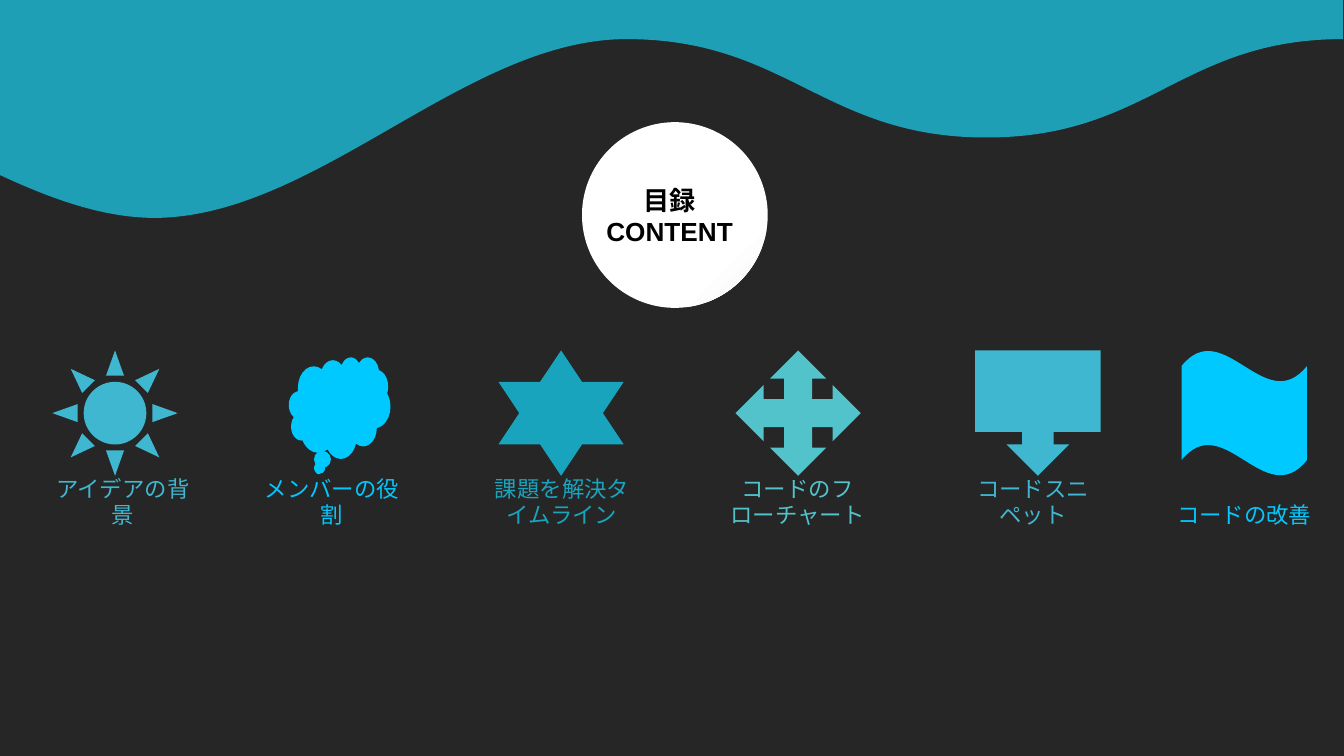
from dataclasses import dataclass

from lxml import etree
from pptx import Presentation
from pptx import util as u
from pptx.dml.color import RGBColor
from pptx.enum import lang, shapes, text
from pptx.oxml.ns import qn


@dataclass(frozen=True)
class Theme:
    background: str = "262626"
    wave: str = "1E9FB5"
    white: str = "FFFFFF"
    shade: str = "F2F2F2"
    black: str = "000000"
    blue: str = "40B7D0"
    bright: str = "00C9FF"
    bright_text: str = "04C7FE"
    teal: str = "19A4BE"
    aqua: str = "52C3CA"
    title_size: int = 14
    label_size: int = 12
    title_font: str = "Arial"
    label_font: str = "Noto Sans CJK SC"


theme = Theme()
color = RGBColor.from_string


def add_run(paragraph, words, font_name, size, rgb, bold=False):
    run = paragraph.add_run()
    run.text = words
    font = run.font
    font.name, font.size, font.bold = font_name, u.Pt(size), bold
    font.color.rgb = color(rgb)
    font.language_id = lang.MSO_LANGUAGE_ID.JAPANESE
    east_asian = etree.Element(qn("a:ea"), typeface=theme.label_font)
    run._r.rPr.find(qn("a:latin")).addnext(east_asian)


def prepare_frame(shape, anchor):
    """Set margins, wrapping and anchor, and return the centred first paragraph."""
    frame = shape.text_frame
    frame.word_wrap = True
    frame.auto_size = text.MSO_AUTO_SIZE.NONE
    frame.vertical_anchor = anchor
    frame.margin_left = frame.margin_right = u.Cm(0.18)
    frame.margin_top = frame.margin_bottom = u.Cm(0.1)
    paragraph = frame.paragraphs[0]
    paragraph.alignment = text.PP_ALIGN.CENTER
    return paragraph


presentation = Presentation()
presentation.slide_width = u.Cm(25.4)
presentation.slide_height = u.Cm(14.29)
slide = presentation.slides.add_slide(presentation.slide_layouts[5])
slide.background.fill.solid()
slide.background.fill.fore_color.rgb = color(theme.background)

# Heading on its circle
circle = slide.shapes.add_shape(
    shapes.MSO_SHAPE.OVAL, u.Cm(11), u.Cm(2.31), u.Cm(3.51), u.Cm(3.51))
circle.shadow.inherit = False
circle.line.fill.background()
circle.fill.gradient()
circle.fill.gradient_angle = 315
for stop, position, rgb in zip(
        circle.fill.gradient_stops, (0.75, 1), (theme.white, theme.shade)):
    stop.position = position
    stop.color.rgb = color(rgb)

title = slide.shapes.title
title.left, title.top = u.Cm(11.18), u.Cm(3.38)
title.width, title.height = u.Cm(2.95), u.Cm(1.35)
title._element.addprevious(circle._element)
paragraph = prepare_frame(title, text.MSO_ANCHOR.TOP)
heading = (theme.title_font, theme.title_size, theme.black, True)
add_run(paragraph, "目録", *heading)
paragraph.add_line_break()
add_run(paragraph, "CONTENT", *heading)

# Wave along the top edge: straight segments between the anchors, then bent
curves = [
    ((0.97, 3.76), (1.93, 4.11), (2.9, 4.12)),
    ((5.97, 4.12), (8.79, 0.74), (11.84, 0.74)),
    ((14.88, 0.74), (15.57, 2.6), (18.64, 2.6)),
    ((21.72, 2.6), (22.33, 0.74), (25.38, 0.74)),
]
corners = [curve[-1] for curve in curves] + [(25.38, -0.08), (0, -0.08)]
builder = slide.shapes.build_freeform(0, u.Cm(3.31))
builder.add_line_segments([(u.Cm(x), u.Cm(y)) for x, y in corners], close=True)
wave = builder.convert_to_shape()
wave.shadow.inherit = False
wave.fill.solid()
wave.fill.fore_color.rgb = color(theme.wave)
wave.line.fill.background()
for segment, curve in zip(list(wave._element.iter(qn("a:lnTo"))), curves):
    bend = etree.Element(qn("a:cubicBezTo"))
    for x, y in curve:
        etree.SubElement(bend, qn("a:pt"), x=str(u.Cm(x) - wave.left),
                         y=str(u.Cm(y) - wave.top))
    segment.getparent().replace(segment, bend)

# Contents: label, icon, icon left, label left, icon size, icon and label colours
icon = shapes.MSO_SHAPE
topics = [
    ("アイデアの背景", icon.SUN, 0.99, 0.85, 2.37, theme.blue, theme.blue),
    ("メンバーの役割", icon.CLOUD_CALLOUT, 5.46, 4.8, 1.92,
     theme.bright, theme.bright_text),
    ("課題を解決タイムライン", icon.STAR_6_POINT, 9.42, 9.15, 2.37,
     theme.teal, theme.teal),
    ("コードのフローチャート", icon.QUAD_ARROW, 13.9, 13.6, 2.37,
     theme.aqua, theme.aqua),
    ("コードスニペット", icon.DOWN_ARROW_CALLOUT, 18.43, 18.05, 2.37,
     theme.blue, theme.blue),
    ("コードの改善", icon.WAVE, 22.33, 22.04, 2.37,
     theme.bright, theme.bright_text),
]
icon_middle = 7.81
for words, kind, icon_left, label_left, size, icon_rgb, label_rgb in topics:
    top = icon_middle - size / 2 - (0.1 if kind == icon.CLOUD_CALLOUT else 0)
    symbol = slide.shapes.add_shape(
        kind, u.Cm(icon_left), u.Cm(top), u.Cm(size), u.Cm(size))
    symbol.shadow.inherit = False
    symbol.fill.solid()
    symbol.fill.fore_color.rgb = color(icon_rgb)
    symbol.line.fill.background()

    label = slide.shapes.add_textbox(
        u.Cm(label_left), u.Cm(9.38), u.Cm(2.95), u.Cm(0.71))
    paragraph = prepare_frame(label, text.MSO_ANCHOR.BOTTOM)
    add_run(paragraph, words, theme.label_font, theme.label_size, label_rgb)

presentation.save("out.pptx")
